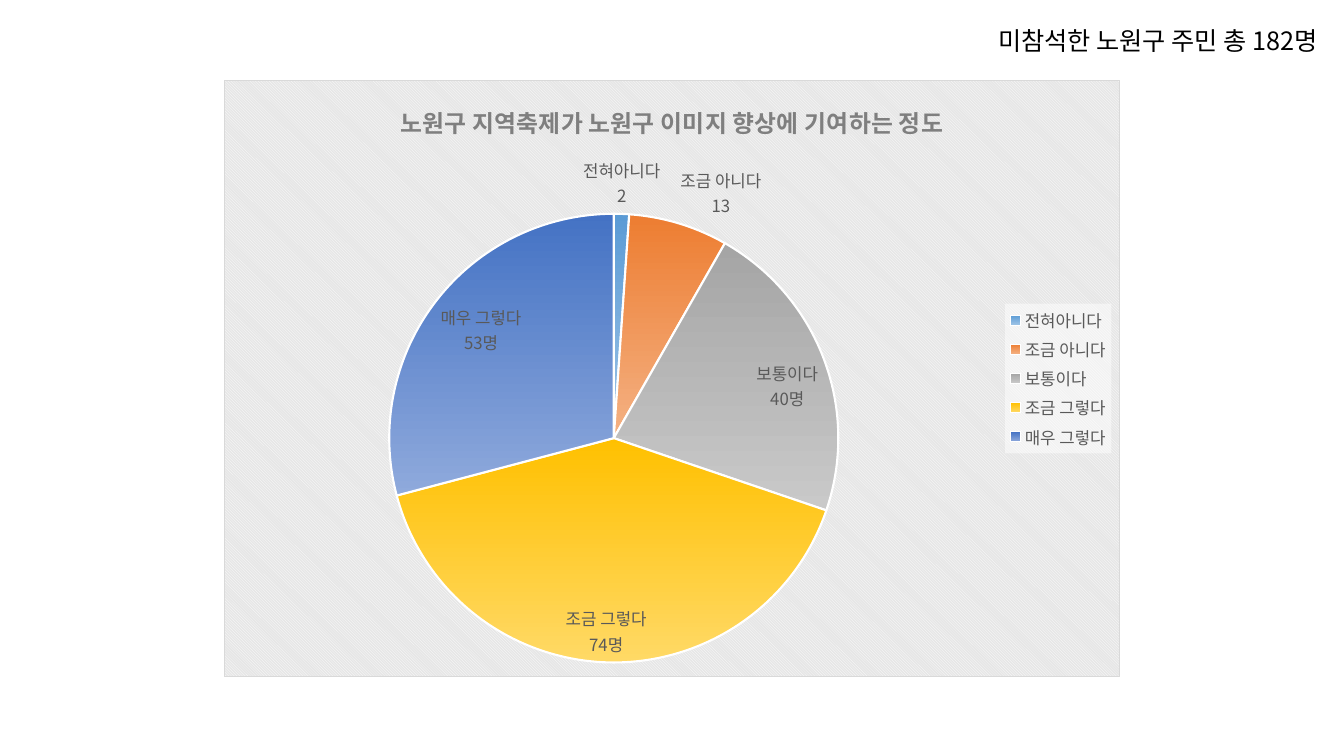
from dataclasses import dataclass

from lxml import etree
from pptx import Presentation
from pptx.chart import data as chart_data
from pptx.dml.color import RGBColor
from pptx.enum import chart as chart_enum, text
from pptx.oxml import ns, parse_xml
from pptx.util import Inches, Pt


@dataclass(frozen=True)
class Theme:
    font: str = "Noto Sans CJK KR"
    black: str = "000000"
    white: str = "FFFFFF"
    title: str = "7F7F7F"
    label: str = "595959"
    panel: str = "E6E6E6"
    border: str = "D9D9D9"
    note_size: int = 18
    title_size: int = 17
    label_size: int = 12


THEME = Theme()

# answer, respondents, top colour, bottom colour, label inside the slice
ANSWERS = [
    ("전혀아니다", 2, "5B9BD5", "9DC3E6", None),
    ("조금 아니다", 13, "ED7D31", "F4B183", None),
    ("보통이다", 40, "A5A5A5", "C9C9C9", "40명"),
    ("조금 그렇다", 74, "FFC000", "FFD966", "74명"),
    ("매우 그렇다", 53, "4472C4", "8FAADC", "53명"),
]


def style_font(font, size, color, bold=False):
    font.name = THEME.font
    font.size = Pt(size)
    font.bold = bold
    font.color.rgb = RGBColor.from_string(color)


def add_run(paragraph, words, size, color, bold=False):
    run = paragraph.add_run()
    run.text = words
    style_font(run.font, size, color, bold)


def set_east_asian_font(root):
    """Give Hangul the same typeface as the Latin letters."""
    for latin in list(root.iter(ns.qn("a:latin"))):
        ea = etree.Element(ns.qn("a:ea"), typeface=THEME.font)
        latin.addnext(ea)


def shape_properties(content):
    return parse_xml(f"<c:spPr {ns.nsdecls('c', 'a')}>{content}</c:spPr>")


def solid(color, inner=""):
    return f'<a:solidFill><a:srgbClr val="{color}">{inner}</a:srgbClr></a:solidFill>'


def add_note(slide, words):
    note = slide.shapes.add_textbox(Inches(9.8), Inches(0.2), Inches(3.75), Inches(0.4))
    frame = note.text_frame
    frame.word_wrap = False
    frame.auto_size = text.MSO_AUTO_SIZE.SHAPE_TO_FIT_TEXT
    add_run(frame.paragraphs[0], words, THEME.note_size, THEME.black)
    set_east_asian_font(note.element)


def style_panel(chart):
    """Striped background with a thin border."""
    stripes = (
        '<a:pattFill prst="dkDnDiag">'
        f'<a:fgClr><a:srgbClr val="{THEME.white}"/></a:fgClr>'
        f'<a:bgClr><a:srgbClr val="{THEME.panel}"/></a:bgClr></a:pattFill>'
    )
    border = f'<a:ln w="{Pt(0.75)}">{solid(THEME.border)}</a:ln>'
    chart.element.find(ns.qn("c:chart")).addnext(shape_properties(stripes + border))


def style_legend(chart):
    chart.has_legend = True
    legend = chart.legend
    legend.position = chart_enum.XL_LEGEND_POSITION.RIGHT
    legend.include_in_layout = False
    style_font(legend.font, THEME.label_size, THEME.label)
    veil = shape_properties(solid(THEME.white, '<a:alpha val="50000"/>'))
    chart.element.find(".//" + ns.qn("c:legend")).find(ns.qn("c:overlay")).addnext(veil)


def place_pie(chart, **box):
    """Place the pie by fractions of the chart's width and height."""
    plot_area = chart.element.find(".//" + ns.qn("c:plotArea"))
    for layout in plot_area.findall(ns.qn("c:layout")):
        plot_area.remove(layout)
    sizes = "".join(f'<c:{key} val="{value}"/>' for key, value in box.items())
    plot_area.insert(0, parse_xml(
        f'<c:layout {ns.nsdecls("c")}><c:manualLayout><c:layoutTarget val="inner"/>'
        f'<c:xMode val="edge"/><c:yMode val="edge"/>{sizes}</c:manualLayout></c:layout>'
    ))


def style_labels(plot):
    plot.has_data_labels = True
    labels = plot.data_labels
    labels.show_value = labels.show_category_name = True
    labels.show_percentage = False
    labels.position = chart_enum.XL_LABEL_POSITION.OUTSIDE_END
    style_font(labels.font, THEME.label_size, THEME.label)
    labels_xml = plot.chart.element.find(".//" + ns.qn("c:dLbls"))
    separator = etree.Element(ns.qn("c:separator"))
    separator.text = "\n"
    shown = [child for child in labels_xml if child.tag.startswith(ns.qn("c:show"))
             and child.tag != ns.qn("c:showLeaderLines")]
    shown[-1].addnext(separator)


def style_slice(point, answer, top, bottom, count):
    fill = point.format.fill
    fill.gradient()
    fill.gradient_angle = 270
    for stop, color in zip(fill.gradient_stops, (top, bottom)):
        stop.color.rgb = RGBColor.from_string(color)
    line = point.format.line
    line.color.rgb = RGBColor.from_string(THEME.white)
    line.width = Pt(1.5)
    if count:
        frame = point.data_label.text_frame
        add_run(frame.paragraphs[0], answer, THEME.label_size, THEME.label)
        add_run(frame.add_paragraph(), count, THEME.label_size, THEME.label)
        point.data_label.position = chart_enum.XL_LABEL_POSITION.INSIDE_END


def add_survey_pie(slide, title):
    survey = chart_data.CategoryChartData()
    survey.categories = [answer[0] for answer in ANSWERS]
    survey.add_series("Series 1", [answer[1] for answer in ANSWERS])
    chart = slide.shapes.add_chart(
        chart_enum.XL_CHART_TYPE.PIE,
        Inches(2.22), Inches(0.79), Inches(8.89), Inches(5.93), survey,
    ).chart
    style_font(chart.font, 10, THEME.black)
    style_panel(chart)
    chart.has_title = True
    add_run(chart.chart_title.text_frame.paragraphs[0], title,
            THEME.title_size, THEME.title, bold=True)
    chart.chart_title.include_in_layout = False
    style_legend(chart)
    place_pie(chart, x=0.184, y=0.224, w=0.502, h=0.752)

    plot = chart.plots[0]
    plot.vary_by_categories = True
    style_labels(plot)
    # Series labels would override the plot's, so the plot's are moved into the series.
    plot_labels = chart.element.find(".//" + ns.qn("c:dLbls"))
    chart.element.find(".//" + ns.qn("c:cat")).addprevious(plot_labels)
    points = plot.series[0].points
    for index, (answer, _, top, bottom, count) in enumerate(ANSWERS):
        style_slice(points[index], answer, top, bottom, count)
    set_east_asian_font(chart.element)


def main():
    deck = Presentation()
    deck.slide_width, deck.slide_height = Inches(13.33), Inches(7.5)
    slide = deck.slides.add_slide(deck.slide_layouts[6])
    add_survey_pie(slide, "노원구 지역축제가 노원구 이미지 향상에 기여하는 정도")
    add_note(slide, "미참석한 노원구 주민 총 182명")
    deck.save("out.pptx")


if __name__ == "__main__":
    main()
